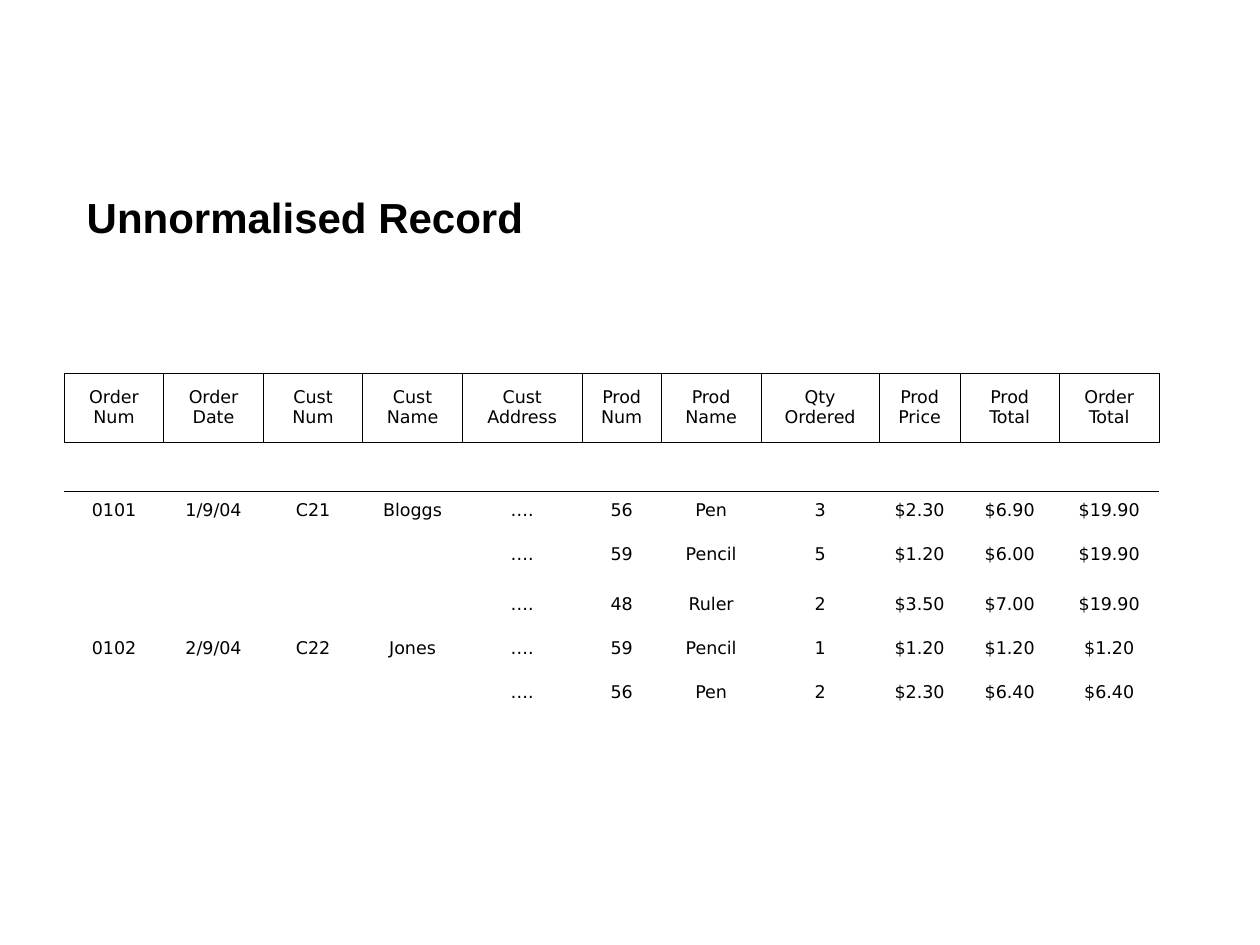
from lxml import etree
from pptx import Presentation
from pptx.dml.color import RGBColor
from pptx.enum.text import MSO_ANCHOR, PP_ALIGN
from pptx.oxml.ns import qn
from pptx.util import Inches, Pt

LEFT, CENTER = PP_ALIGN.LEFT, PP_ALIGN.CENTER
MIDDLE = MSO_ANCHOR.MIDDLE
COLORS = {"text": "000000", "border": "000000"}
NO_STYLE = "{2D5ABB26-0587-4C30-8999-92F81FD0307C}"
BORDER_WIDTH = Pt(0.45)

COLUMN_WIDTHS = [0.79, 0.79, 0.79, 0.79, 0.95, 0.63, 0.79, 0.94, 0.64, 0.79, 0.79]
ROW_HEIGHTS = [0.55, 0.39, 0.31, 0.39, 0.39, 0.31, 0.39]
BLANK = [""] * 4
RECORDS = [
    ["Order Num", "Order Date", "Cust Num", "Cust Name", "Cust Address", "Prod Num",
     "Prod Name", "Qty Ordered", "Prod Price", "Prod Total", "Order Total"],
    [""] * len(COLUMN_WIDTHS),
    ["0101", "1/9/04", "C21", "Bloggs", "….", "56", "Pen", "3", "$2.30", "$6.90", "$19.90"],
    BLANK + ["….", "59", "Pencil", "5", "$1.20", "$6.00", "$19.90"],
    BLANK + ["….", "48", "Ruler", "2", "$3.50", "$7.00", "$19.90"],
    ["0102", "2/9/04", "C22", "Jones", "….", "59", "Pencil", "1", "$1.20", "$1.20", "$1.20"],
    BLANK + ["….", "56", "Pen", "2", "$2.30", "$6.40", "$6.40"],
]


def write_text(text_frame, text, size=10, font="DejaVu Sans", bold=False, align=CENTER):
    paragraph = text_frame.paragraphs[0]
    paragraph.alignment = align
    if not text:
        # An empty cell takes its line height from the paragraph end mark.
        paragraph._p.get_or_add_endParaRPr().set("sz", str(size * 100))
        return
    run = paragraph.add_run()
    run.text = text
    run.font.size = Pt(size)
    run.font.name = font
    run.font.bold = bold
    run.font.color.rgb = RGBColor.from_string(COLORS["text"])


def add_title(slide, text):
    box = slide.shapes.add_textbox(Inches(0.59), Inches(1.47), Inches(3.86), Inches(0.5))
    box.text_frame.word_wrap = True
    write_text(box.text_frame, text, size=24, font="Arial", bold=True, align=LEFT)


def set_borders(cell, sides):
    """Draw thin lines on the given sides, in the order L, R, T, B."""
    properties = cell._tc.get_or_add_tcPr()
    for position, side in enumerate(sides):
        line = etree.Element(qn(f"a:ln{side}"), w=str(BORDER_WIDTH))
        fill = etree.SubElement(line, qn("a:solidFill"))
        etree.SubElement(fill, qn("a:srgbClr"), val=COLORS["border"])
        properties.insert(position, line)


def add_record_table(slide, records):
    frame = slide.shapes.add_table(
        len(records), len(COLUMN_WIDTHS), Inches(0.51), Inches(2.96),
        Inches(sum(COLUMN_WIDTHS)), Inches(sum(ROW_HEIGHTS)))
    table = frame.table
    table.first_row = table.horz_banding = False
    table._tbl.tblPr.find(qn("a:tableStyleId")).text = NO_STYLE
    for column, width in zip(table.columns, COLUMN_WIDTHS):
        column.width = Inches(width)
    for index, (row, height, values) in enumerate(zip(table.rows, ROW_HEIGHTS, records)):
        row.height = Inches(height)
        for cell, value in zip(row.cells, values):
            cell.vertical_anchor = MIDDLE
            cell.fill.background()
            write_text(cell.text_frame, value)
            if index == 0:
                set_borders(cell, "LRTB")
            elif index == 1:
                set_borders(cell, "T")


def main():
    presentation = Presentation()
    presentation.slide_width = Inches(10)
    presentation.slide_height = Inches(7.5)
    slide = presentation.slides.add_slide(presentation.slide_layouts[6])
    add_record_table(slide, RECORDS)
    add_title(slide, "Unnormalised Record")
    presentation.save("out.pptx")


if __name__ == "__main__":
    main()
